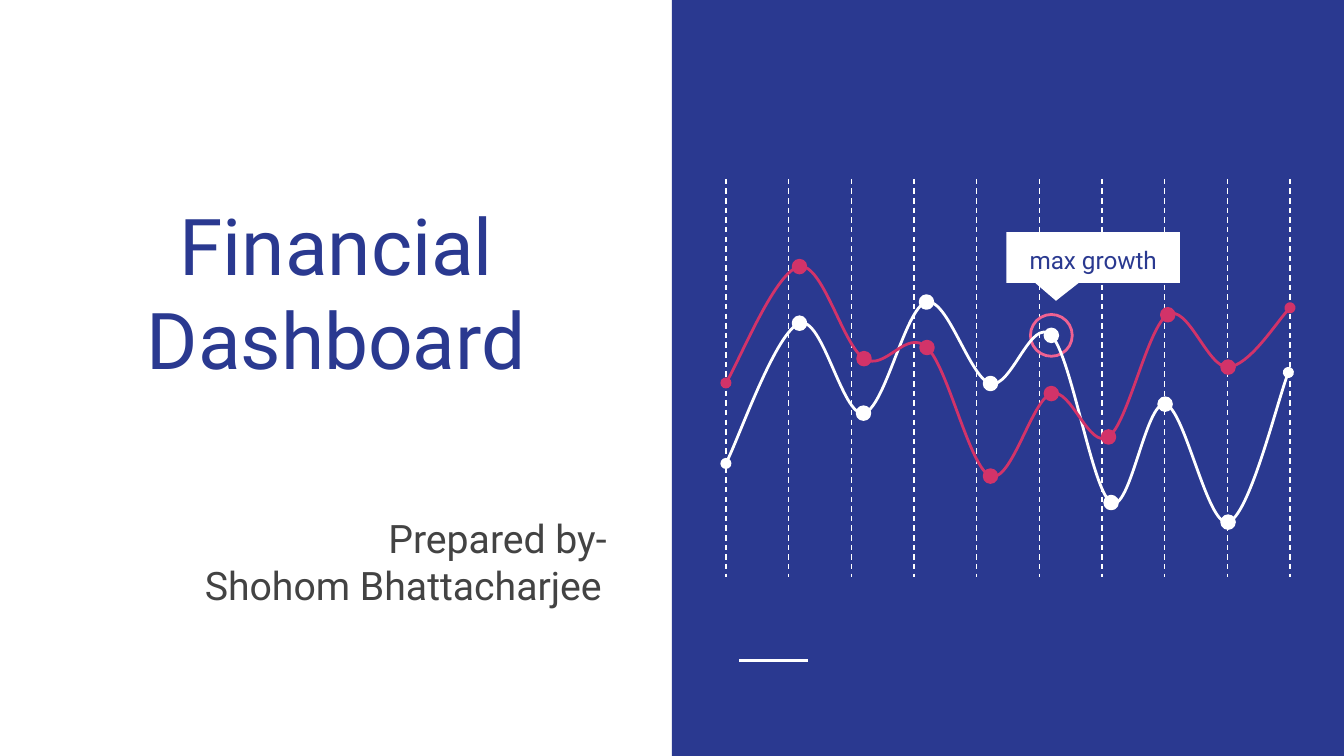
from dataclasses import dataclass

from lxml import etree
from pptx import Presentation
from pptx.dml.color import RGBColor
from pptx.enum import dml, shapes, text
from pptx.oxml.ns import qn
from pptx.util import Cm, Pt


@dataclass(frozen=True)
class Theme:
    navy: str = "2A3990"
    white: str = "FFFFFF"
    red: str = "D23369"
    pink: str = "F06292"
    grey: str = "434343"
    font: str = "Roboto"
    title: float = 42
    subtitle: float = 21
    label: float = 13
    thin: float = 0.75
    thick: float = 1.5


T = Theme()
GRID_LINES = 10
DOT = 0.24
RING = 0.79
WHITE_SERIES = [(0, 5.38), (1.39, 2.73), (2.6, 4.43), (3.79, 2.33), (5, 3.87),
                (6.15, 2.96), (7.28, 6.12), (8.3, 4.26), (9.49, 6.49), (10.63, 3.66)]
RED_SERIES = [(0, 3.86), (1.39, 1.66), (2.61, 3.4), (3.8, 3.19), (5, 5.62),
              (6.15, 4.06), (7.23, 4.88), (8.35, 2.57), (9.49, 3.56), (10.66, 2.44)]
PEAK = WHITE_SERIES[5]


def set_line(line, color, width):
    line.color.rgb = RGBColor.from_string(color)
    line.width = Pt(width)


def set_shape(sp, fill=None, line=None):
    sp.shadow.inherit = False
    if fill:
        sp.fill.solid()
        sp.fill.fore_color.rgb = RGBColor.from_string(fill)
    else:
        sp.fill.background()
    if line:
        set_line(sp.line, line, T.thick)
    else:
        sp.line.fill.background()


def add_shape(s, kind, box, **paint):
    sp = s.shapes.add_shape(kind, *map(Cm, box))
    set_shape(sp, **paint)
    return sp


def add_circle(s, x, y, size, **paint):
    box = (x - size / 2, y - size / 2, size, size)
    return add_shape(s, shapes.MSO_SHAPE.OVAL, box, **paint)


def add_line(s, start, end, width):
    c = s.shapes.add_connector(shapes.MSO_CONNECTOR.STRAIGHT, *map(Cm, start + end))
    set_line(c.line, T.white, width)
    etree.SubElement(c._element.spPr, qn("a:effectLst"))
    return c


def write(sp, lines, size, color, anchor, spacing=1.0):
    tf = sp.text_frame
    frame = {"word_wrap": True, "vertical_anchor": anchor}
    frame.update({f"margin_{side}": Cm(0.25) for side in ("left", "right", "top", "bottom")})
    for name, value in frame.items():
        setattr(tf, name, value)
    for i, (words, align, indent) in enumerate(lines):
        p = tf.paragraphs[0] if i == 0 else tf.add_paragraph()
        p.alignment, p.line_spacing = align, spacing
        if indent:
            p._p.get_or_add_pPr().set("marL", str(Cm(indent)))
        r = p.add_run()
        r.text = words
        for name, value in {"size": Pt(size), "name": T.font}.items():
            setattr(r.font, name, value)
        r.font.color.rgb = RGBColor.from_string(color)


def smooth_points(knots):
    last = len(knots) - 1
    slopes = [[(b - a) / 6 for a, b in zip(knots[max(i - 1, 0)], knots[min(i + 1, last)])]
              for i in range(last + 1)]
    points = []
    for i in range(last):
        (x0, y0), (x1, y1) = knots[i], knots[i + 1]
        (dx0, dy0), (dx1, dy1) = slopes[i], slopes[i + 1]
        points += [(x0 + dx0, y0 + dy0), (x1 - dx1, y1 - dy1), (x1, y1)]
    return points


def add_series(s, box, values, color):
    knots = [(box[0] + x, box[1] + y) for x, y in values]
    start, *points = [(Cm(x), Cm(y)) for x, y in knots[:1] + smooth_points(knots)]
    builder = s.shapes.build_freeform(*start)
    builder.add_line_segments(points, close=False)
    sp = builder.convert_to_shape()
    set_shape(sp, line=color)
    segments = list(sp._element.iter(qn("a:lnTo")))
    for i in range(0, len(segments), 3):
        curve = etree.Element(qn("a:cubicBezTo"))
        segments[i].addprevious(curve)
        for segment in segments[i:i + 3]:
            curve.append(segment[0])
            segment.getparent().remove(segment)
    ln = sp.line._get_or_add_ln()
    for end in ("a:headEnd", "a:tailEnd"):
        etree.SubElement(ln, qn(end), type="oval")
    for x, y in knots[1:-1]:
        add_circle(s, x, y, DOT, fill=color, line=color)


def add_callout(s, box):
    sp = add_shape(s, shapes.MSO_SHAPE.ROUNDED_RECTANGULAR_CALLOUT, box, fill=T.white)
    for i, value in enumerate((-0.214, 0.85, 0)):
        sp.adjustments[i] = value
    write(sp, [("max growth", text.PP_ALIGN.CENTER, 0)], T.label, T.navy,
          text.MSO_ANCHOR.MIDDLE, 1.15)


def growth_chart(s, box):
    x, y, w, h = box
    for i in range(GRID_LINES):
        gx = x + w * i / (GRID_LINES - 1)
        c = add_line(s, (gx, y), (gx, y + h), T.thin)
        c.line.dash_style = dml.MSO_LINE.DASH
    add_circle(s, x + PEAK[0], y + PEAK[1], RING, line=T.pink)
    add_series(s, box, WHITE_SERIES, T.white)
    add_callout(s, (x + 5.3, y + 1.01, 3.28, 0.96))
    add_series(s, box, RED_SERIES, T.red)


def chart_panel(s, box):
    x, y, w, h = box
    add_shape(s, shapes.MSO_SHAPE.RECTANGLE, box, fill=T.navy)
    add_line(s, (x + 1.27, y + 12.49), (x + 2.57, y + 12.49), T.thick)
    growth_chart(s, (x + 1.02, y + 3.38, 10.66, 7.52))


def title_panel(s, box):
    x, y, w, h = box
    left, width = x + 0.74, w - 1.47
    title = s.shapes.add_textbox(*map(Cm, (left, y + 3.2, width, 4.34)))
    write(title, [("Financial Dashboard", text.PP_ALIGN.CENTER, 0)],
          T.title, T.navy, text.MSO_ANCHOR.BOTTOM)
    author = s.shapes.add_textbox(*map(Cm, (left, y + 9.47, width, 3.96)))
    write(author, [("Prepared by-", text.PP_ALIGN.LEFT, 6.35),
                   ("Shohom Bhattacharjee", text.PP_ALIGN.CENTER, 2.54)],
          T.subtitle, T.grey, text.MSO_ANCHOR.TOP)


def main():
    prs = Presentation()
    prs.slide_width, prs.slide_height = Cm(25.4), Cm(14.29)
    s = prs.slides.add_slide(prs.slide_layouts[6])
    chart_panel(s, (12.7, 0, 12.7, 14.29))
    title_panel(s, (0, 0, 12.7, 14.29))
    prs.save("out.pptx")


if __name__ == "__main__":
    main()
